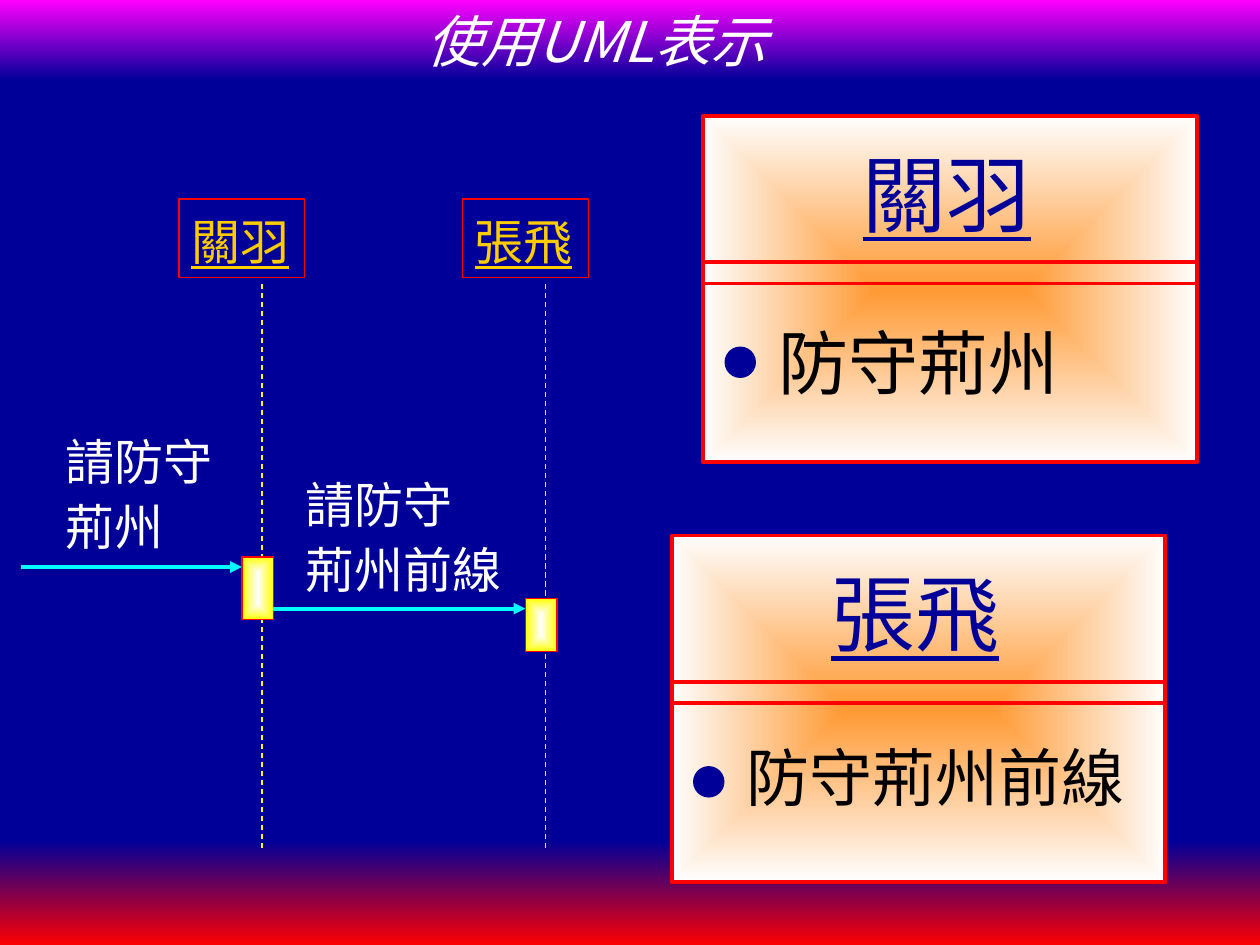
from lxml import etree
from pptx import Presentation
from pptx.dml.color import RGBColor
from pptx.enum import dml, shapes, text
from pptx.oxml import ns
from pptx.util import Inches, Pt

COLORS = {
    "navy": "000099", "magenta": "FF00FF", "red": "FF0000", "gold": "FFCC00",
    "yellow": "FFFF00", "cyan": "00FFFF", "orange": "FF9933",
    "pale": "FEFEFE", "white": "FFFFFF", "black": "000000",
}
RECT = shapes.MSO_SHAPE.RECTANGLE
OVAL = shapes.MSO_SHAPE.OVAL


def rgb(name):
    return RGBColor.from_string(COLORS[name])


def set_gradient(fill, start, end, from_center):
    """Blend two colours downwards, or outwards from the centre."""
    fill.gradient()
    for stop, color, pos in zip(fill.gradient_stops, (start, end), (0, 1)):
        stop.color.rgb = rgb(color)
        stop.position = pos
    fill.gradient_angle = 270
    if from_center:
        lin = fill._xPr.find(".//" + ns.qn("a:lin"))
        path = etree.Element(ns.qn("a:path"), {"path": "rect"})
        sides = dict.fromkeys("ltrb", "50000")
        etree.SubElement(path, ns.qn("a:fillToRect"), sides)
        lin.getparent().replace(lin, path)


def add_box(slide, at, kind=RECT, fill=None, gradient=None, from_center=True,
            line=None, width=0.75):
    s = slide.shapes.add_shape(kind, *map(Inches, at))
    s.shadow.inherit = False
    if gradient:
        set_gradient(s.fill, *gradient, from_center)
    elif fill:
        s.fill.solid()
        s.fill.fore_color.rgb = rgb(fill)
    else:
        s.fill.background()
    if line:
        s.line.color.rgb = rgb(line)
        s.line.width = Pt(width)
    else:
        s.line.fill.background()
    return s


def set_text(s, lines, color, size=28, name="Times New Roman",
             align=text.PP_ALIGN.LEFT, anchor=text.MSO_ANCHOR.TOP,
             spacing=1.1, **styles):
    tf = s.text_frame
    tf.word_wrap = True
    tf.vertical_anchor = anchor
    formats = {"size": Pt(size), "name": name, **styles}
    for i, line in enumerate(lines):
        p = tf.paragraphs[0] if i == 0 else tf.add_paragraph()
        p.alignment = align
        p.line_spacing = spacing
        r = p.add_run()
        r.text = line
        r.font.color.rgb = rgb(color)
        for key, value in formats.items():
            setattr(r.font, key, value)


def add_label(slide, at, lines, color, **formats):
    s = slide.shapes.add_textbox(*map(Inches, at))
    set_text(s, lines, color, **formats)


def add_line(slide, start, end, color, width, dashed=False, arrow=False):
    s = slide.shapes.add_connector(shapes.MSO_CONNECTOR.STRAIGHT,
                                   *map(Inches, (*start, *end)))
    s.line.color.rgb = rgb(color)
    s.line.width = Pt(width)
    if dashed:
        s.line.dash_style = dml.MSO_LINE.DASH
    if arrow:
        etree.SubElement(s.line._get_or_add_ln(), ns.qn("a:tailEnd"),
                         {"type": "triangle"})
    etree.SubElement(s._element.spPr, ns.qn("a:effectLst"))


def add_lifeline(slide, name, x, active_y, active_h):
    """Draw an object's name box, dashed lifeline and activation bar."""
    s = add_box(slide, (x, 1.58, 1, 0.62), line="red")
    set_text(s, [name], "gold", underline=True)
    add_line(slide, (x + 0.66, 2.25), (x + 0.66, 6.75), "yellow", 0.75,
             dashed=True)
    add_box(slide, (x + 0.5, active_y, 0.25, active_h),
            gradient=("pale", "yellow"), line="red")


def add_message(slide, x1, x2, y, label_at, lines):
    add_line(slide, (x1, y), (x2, y), "cyan", 2.25, arrow=True)
    add_label(slide, label_at, lines, "white")


def add_object_card(slide, x, y, name, duty, duty_size, duty_width):
    """Draw an object with its name, divider lines and one bulleted duty."""
    w = 3.92
    add_box(slide, (x, y, w, 2.75), gradient=("orange", "pale"),
            line="red", width=2.25)
    for dy in (1.16, 1.33):
        add_line(slide, (x, y + dy), (x + w, y + dy), "red", 2.25)
    add_label(slide, (x + 1.17, y + 0.08, 1.58, 0.98), [name], "navy",
              size=48, underline=True)
    add_box(slide, (x + 0.17, y + 1.83, 0.25, 0.25), kind=OVAL, fill="navy")
    add_label(slide, (x + 0.5, y + 1.5, duty_width, 0.8), [duty], "black",
              size=duty_size)


def add_bands(slide):
    title = add_box(slide, (0, 0, 10, 0.64), gradient=("magenta", "navy"),
                    from_center=False)
    set_text(title, ["使用UML表示"], "white", size=32,
             name="Noto Sans CJK SC", align=text.PP_ALIGN.CENTER,
             anchor=text.MSO_ANCHOR.MIDDLE, spacing=1.0, italic=True)
    title.text_frame.margin_right = Inches(0.64)
    add_box(slide, (0, 6.67, 10, 0.84), gradient=("navy", "red"),
            from_center=False)


def main():
    prs = Presentation()
    prs.slide_width, prs.slide_height = Inches(10), Inches(7.5)
    slide = prs.slides.add_slide(prs.slide_layouts[6])
    slide.background.fill.solid()
    slide.background.fill.fore_color.rgb = rgb("navy")

    add_bands(slide)
    add_lifeline(slide, "關羽", 1.42, 4.42, 0.5)
    add_lifeline(slide, "張飛", 3.67, 4.75, 0.42)
    add_message(slide, 0.17, 1.92, 4.5, (0.42, 3.33, 1.42, 1.13),
                ["請防守", "荊州"])
    add_message(slide, 2.17, 4.17, 4.83, (2.33, 3.67, 1.92, 1.13),
                ["請防守", "荊州前線"])
    add_object_card(slide, 5.58, 0.92, "關羽", "防守荊州", 40, 2.92)
    add_object_card(slide, 5.33, 4.25, "張飛", "防守荊州前線", 36, 3.33)
    prs.save("out.pptx")


if __name__ == "__main__":
    main()
